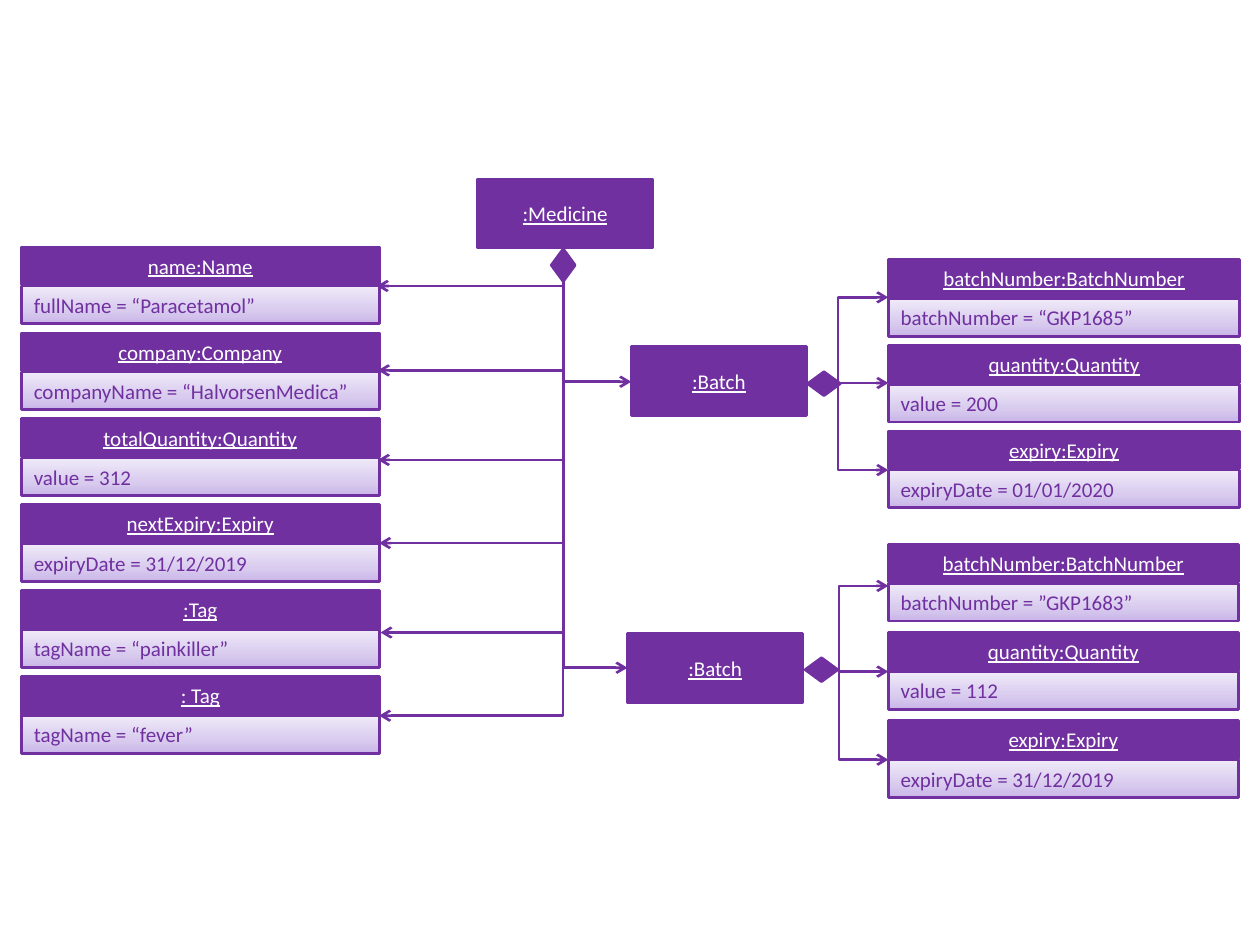
from copy import deepcopy

from lxml import etree
from pptx import Presentation
from pptx.dml.color import RGBColor
from pptx.enum import shapes, text
from pptx.oxml.ns import qn
from pptx.util import Inches, Pt

PURPLE = RGBColor(0x70, 0x30, 0xA0)
WHITE = RGBColor(0xFF, 0xFF, 0xFF)
GRADIENT = [(0, RGBColor(0xC9, 0xB5, 0xE8)), (0.35, RGBColor(0xD8, 0xCB, 0xEE)),
            (1, RGBColor(0xF0, 0xEA, 0xF9))]
HEADER = {"size": Pt(12), "name": "Calibri", "underline": True}
VALUE = {"size": Pt(12), "name": "Calibri"}

prs = Presentation()
prs.slide_width, prs.slide_height = Inches(10), Inches(7.5)
s = prs.slides.add_slide(prs.slide_layouts[6])


def add_box(parent, kind, x, y, w, h, label="", fmt=HEADER, color=WHITE,
            align=text.PP_ALIGN.CENTER):
    sp = parent.add_shape(kind, Inches(x), Inches(y), Inches(w), Inches(h))
    sp.shadow.inherit = False
    sp.fill.solid()
    sp.fill.fore_color.rgb = PURPLE
    sp.line.color.rgb = PURPLE
    sp.line.width = Pt(1.5)
    if label:
        tf = sp.text_frame
        tf.word_wrap = True
        tf.vertical_anchor = text.MSO_ANCHOR.MIDDLE
        p = tf.paragraphs[0]
        p.alignment = align
        r = p.add_run()
        r.text = label
        r.font.color.rgb = color
        for key, value in fmt.items():
            setattr(r.font, key, value)
    return sp


def add_arrow(x1, y1, x2, y2):
    """Arrow that runs vertically first, then horizontally."""
    kind = shapes.MSO_CONNECTOR.STRAIGHT if y1 == y2 else shapes.MSO_CONNECTOR.ELBOW
    cx = s.shapes.add_connector(kind, Inches(x1), Inches(y1), Inches(x2), Inches(y2))
    cx.line.color.rgb = PURPLE
    cx.line.width = Pt(1.5)
    spPr = cx._element.spPr
    if y1 != y2:
        guides = spPr.find(qn("a:prstGeom")).find(qn("a:avLst"))
        etree.SubElement(guides, qn("a:gd"), name="adj1", fmla="val 0")
    etree.SubElement(spPr.find(qn("a:ln")), qn("a:tailEnd"), type="arrow")
    etree.SubElement(spPr, qn("a:effectLst"))


RECT = shapes.MSO_SHAPE.RECTANGLE
DIAMOND = shapes.MSO_SHAPE.FLOWCHART_DECISION

# Medicine and batches
for x, y, label in [(3.79, 1.42, ":Medicine"), (5.01, 2.75, ":Batch"),
                    (4.98, 5.03, ":Batch")]:
    add_box(s.shapes, RECT, x, y, 1.39, 0.55, label)

# Attribute objects: left, top, width, pitch, then header and value of each
columns = [
    (0.17, 1.96, 2.84, 0.682, [
        ("name:Name", "fullName = “Paracetamol”"),
        ("company:Company", "companyName = “HalvorsenMedica”"),
        ("totalQuantity:Quantity", "value = 312"),
        ("nextExpiry:Expiry", "expiryDate = 31/12/2019"),
        (":Tag", "tagName = “painkiller”"),
        (": Tag", "tagName = “fever”")]),
    (7.05, 2.06, 2.79, 0.68, [
        ("batchNumber:BatchNumber", "batchNumber = “GKP1685”"),
        ("quantity:Quantity", "value = 200"),
        ("expiry:Expiry", "expiryDate = 01/01/2020")]),
    (7.05, 4.32, 2.78, 0.7, [
        ("batchNumber:BatchNumber", "batchNumber = ”GKP1683”"),
        ("quantity:Quantity", "value = 112"),
        ("expiry:Expiry", "expiryDate = 31/12/2019")]),
]
for x, top, w, pitch, objects in columns:
    for i, (header, value) in enumerate(objects):
        y = top + i * pitch
        group = s.shapes.add_group_shape().shapes
        add_box(group, RECT, x, y, w, 0.3, header)
        sp = add_box(group, RECT, x, y + 0.31, w, 0.3, value, VALUE, PURPLE,
                     text.PP_ALIGN.LEFT)
        sp.fill.gradient()
        sp.fill.gradient_angle = 90
        stops = sp._element.spPr.find(qn("a:gradFill")).find(qn("a:gsLst"))
        stops.insert(1, deepcopy(stops[0]))
        for stop, (position, color) in zip(sp.fill.gradient_stops, GRADIENT):
            stop.position = position
            stop.color.rgb = color

# Composition diamonds
add_box(s.shapes, DIAMOND, 4.34, 2.01, 0.26, 0.19).rotation = 90
for x, y in [(6.41, 2.95), (6.39, 5.22)]:
    add_box(s.shapes, DIAMOND, x, y, 0.26, 0.19)

# Arrows from the medicine
for x, y in [(2.99, 2.27), (3, 2.94), (3, 3.65), (3.01, 4.31), (3.02, 5.02),
             (3.01, 5.68), (5.01, 3.03), (4.98, 5.3)]:
    add_arrow(4.47, 2.23, x, y)

# Arrows from each batch
for x, y, ends in [(6.65, 3.04, (2.36, 3.04, 3.73)), (6.66, 5.33, (4.65, 5.33, 6.03))]:
    for end in ends:
        add_arrow(x, y, 7.05, end)

prs.save("out.pptx")
